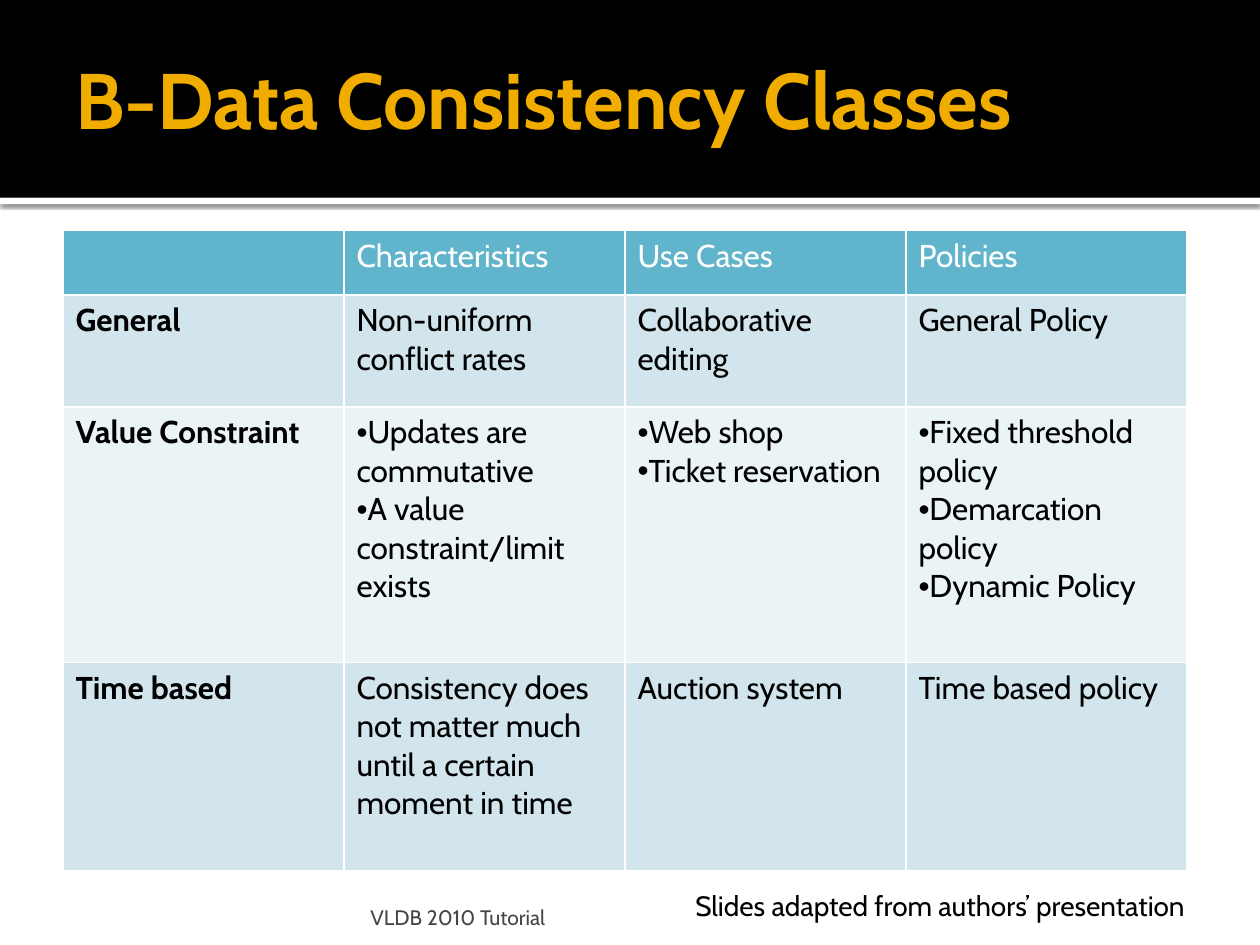
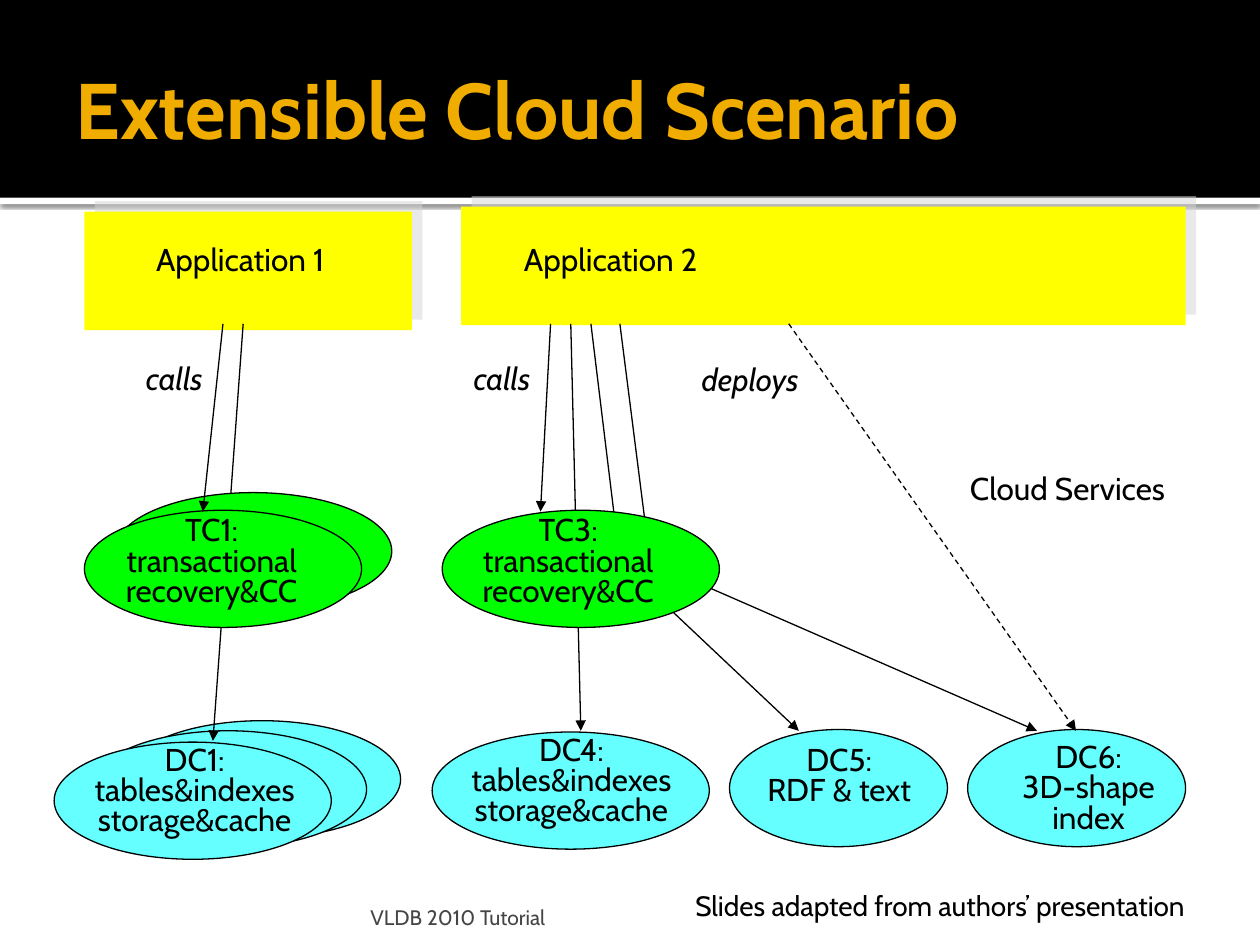
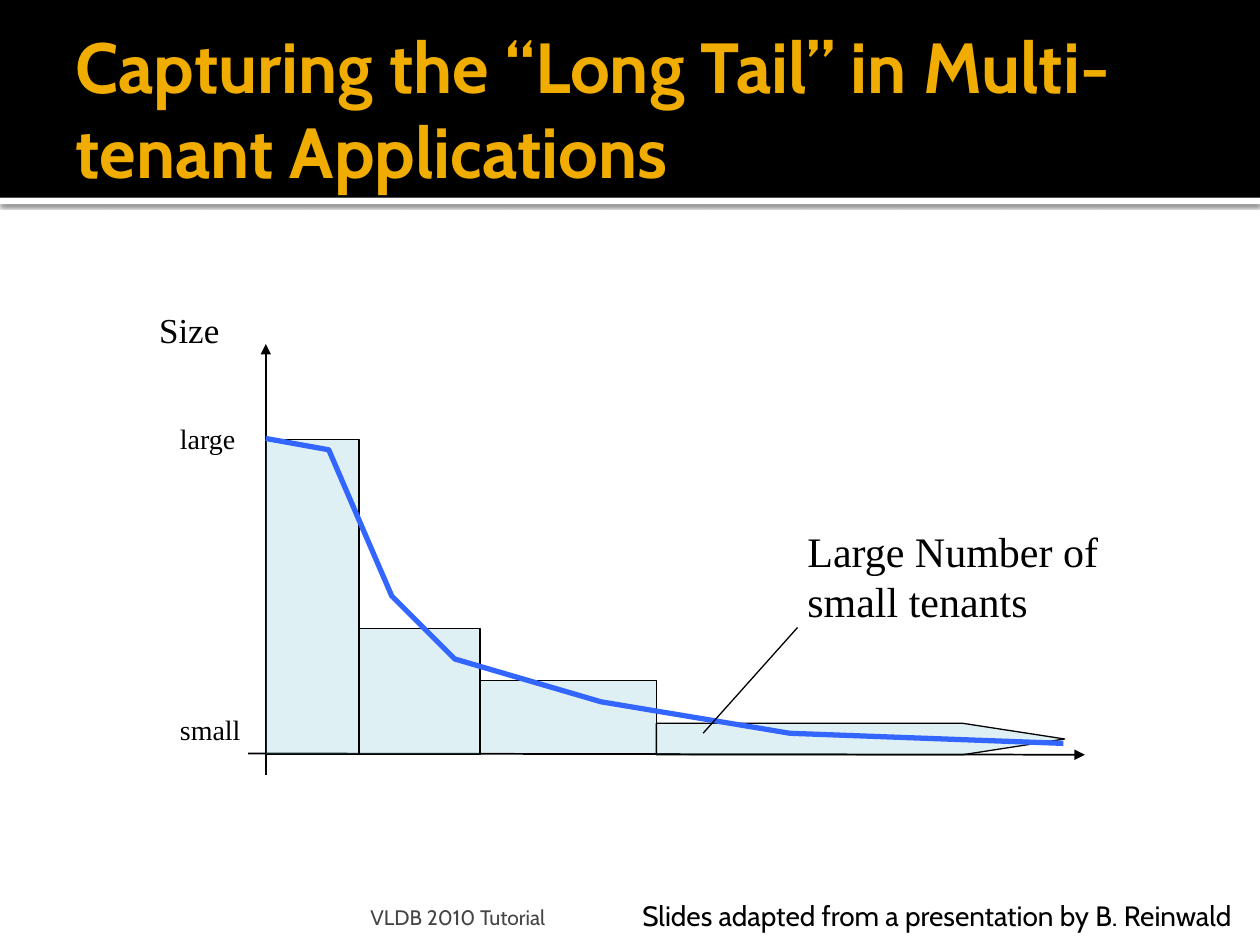
from dataclasses import dataclass

from lxml import etree
from pptx import Presentation
from pptx.dml.color import RGBColor
from pptx.enum.dml import MSO_LINE
from pptx.enum.shapes import MSO_CONNECTOR, MSO_SHAPE
from pptx.enum.text import MSO_ANCHOR, MSO_AUTO_SIZE, PP_ALIGN
from pptx.oxml.ns import qn
from pptx.util import Inches, Pt

BLACK = RGBColor(0x00, 0x00, 0x00)
WHITE = RGBColor(0xFF, 0xFF, 0xFF)
GOLD = RGBColor(0xF0, 0xAD, 0x00)
GREY = RGBColor(0x45, 0x45, 0x45)
SILVER = RGBColor(0xD4, 0xD4, 0xD6)
TEAL = RGBColor(0x60, 0xB5, 0xCC)
TEAL_LIGHT = RGBColor(0xD2, 0xE5, 0xEC)
TEAL_PALE = RGBColor(0xEA, 0xF3, 0xF6)
CYAN = RGBColor(0x66, 0xFF, 0xFF)
GREEN = RGBColor(0x00, 0xFF, 0x00)
YELLOW = RGBColor(0xFF, 0xFF, 0x00)
BLUE = RGBColor(0x33, 0x66, 0xFF)

SANS = "Cabin"
SERIF = "Times New Roman"
BULLET_FONT = "Arial"
RECTANGLE = MSO_SHAPE.RECTANGLE
OVAL = MSO_SHAPE.OVAL
PENTAGON = MSO_SHAPE.PENTAGON
STRAIGHT = MSO_CONNECTOR.STRAIGHT
DASH = MSO_LINE.DASH
LEFT, CENTER, RIGHT = PP_ALIGN.LEFT, PP_ALIGN.CENTER, PP_ALIGN.RIGHT
TOP, MIDDLE, BOTTOM = MSO_ANCHOR.TOP, MSO_ANCHOR.MIDDLE, MSO_ANCHOR.BOTTOM
FIT_SHAPE = MSO_AUTO_SIZE.SHAPE_TO_FIT_TEXT

Area = tuple[float, float, float, float]
Point = tuple[float, float]
TITLE_AREA = (0.5, 0.17, 9, 1.37)
AUTHORS_CREDIT = "Slides adapted from authors’ presentation"
AUTHORS_AREA = (5.42, 7, 4.17, 0.37)


@dataclass(frozen=True)
class Style:
    size: float = 18
    color: RGBColor = BLACK
    font: str = SANS
    bold: bool = False
    italic: bool = False


@dataclass(frozen=True)
class Label:
    area: Area
    lines: tuple[str, ...]
    style: Style = Style()
    align: PP_ALIGN = LEFT
    spacing: float | None = None
    anchor: MSO_ANCHOR = TOP
    insets: Area | None = None
    wrap: bool = False


@dataclass(frozen=True)
class Shadow:
    color: RGBColor
    opacity: int
    blur: float
    distance: float
    angle: int


@dataclass(frozen=True)
class Block:
    area: Area
    fill: RGBColor
    kind: MSO_SHAPE = RECTANGLE
    outlined: bool = False
    opacity: int = 100
    shadow: Shadow | None = None


@dataclass(frozen=True)
class Link:
    start: Point
    end: Point
    arrow: bool = True
    dashed: bool = False
    width: float = 0.75


@dataclass(frozen=True)
class Component:
    area: Area
    fill: RGBColor
    text_area: Area
    lines: tuple[str, ...]


BAND_SHADOW = Shadow(BLACK, 60, 2.5, 0.8, 90)
APPLICATION_SHADOW = Shadow(SILVER, 50, 0, 8.5, 315)
ITALIC = Style(italic=True)


def lengths(area: Area) -> list[Inches]:
    return [Inches(value) for value in area]


def add_span(para, text: str, style: Style) -> None:
    span = para.add_run()
    span.text = text
    span.font.name = style.font
    span.font.size = Pt(style.size)
    span.font.bold = style.bold
    span.font.italic = style.italic
    span.font.color.rgb = style.color


def fill_lines(frame, lines: tuple[str, ...], style: Style) -> list:
    for index, line in enumerate(lines):
        para = frame.paragraphs[0] if index == 0 else frame.add_paragraph()
        add_span(para, line, style)
    return list(frame.paragraphs)


def add_bullet(para) -> None:
    properties = para._p.get_or_add_pPr()
    etree.SubElement(properties, qn("a:buFont"), typeface=BULLET_FONT)
    etree.SubElement(properties, qn("a:buChar"), char="•")


def add_label(page, label: Label) -> None:
    frame = page.shapes.add_textbox(*lengths(label.area)).text_frame
    frame.word_wrap = label.wrap
    frame.vertical_anchor = label.anchor
    if label.insets:
        (frame.margin_left, frame.margin_top,
         frame.margin_right, frame.margin_bottom) = lengths(label.insets)
    else:
        frame.auto_size = FIT_SHAPE
    for para in fill_lines(frame, label.lines, label.style):
        para.alignment = label.align
        if label.spacing:
            para.line_spacing = label.spacing


def add_color(parent, color: RGBColor, opacity: int) -> None:
    node = etree.SubElement(parent, qn("a:srgbClr"), val=str(color))
    etree.SubElement(node, qn("a:alpha"), val=str(opacity * 1000))


def add_block(page, block: Block):
    shape = page.shapes.add_shape(block.kind, *lengths(block.area))
    shape.shadow.inherit = False
    shape.fill.solid()
    shape.fill.fore_color.rgb = block.fill
    properties = shape._element.spPr
    if block.opacity < 100:
        solid = properties.find(qn("a:solidFill"))
        solid.clear()
        add_color(solid, block.fill, block.opacity)
    if block.outlined:
        shape.line.color.rgb = BLACK
        shape.line.width = Pt(0.75)
    else:
        shape.line.fill.background()
    if block.shadow:
        cast = block.shadow
        outer = etree.SubElement(
            properties.find(qn("a:effectLst")), qn("a:outerShdw"),
            blurRad=str(Pt(cast.blur)), dist=str(Pt(cast.distance)),
            dir=str(cast.angle * 60000), algn="ctr", rotWithShape="0")
        add_color(outer, cast.color, cast.opacity)
    return shape


def add_link(page, link: Link) -> None:
    connector = page.shapes.add_connector(
        STRAIGHT, *lengths(link.start + link.end))
    connector.line.color.rgb = BLACK
    connector.line.width = Pt(link.width)
    if link.dashed:
        connector.line.dash_style = DASH
    properties = connector._element.spPr
    if link.arrow:
        etree.SubElement(properties.find(qn("a:ln")), qn("a:tailEnd"), type="triangle")
    etree.SubElement(properties, qn("a:effectLst"))


def add_component(page, component: Component) -> None:
    add_block(page, Block(component.area, component.fill, OVAL, outlined=True))
    add_label(page, Label(component.text_area, component.lines, align=CENTER, spacing=0.8))


def start_page(deck, title: str, credit: str, credit_area: Area,
               title_area: Area = TITLE_AREA, title_size: float = 45):
    page = deck.slides.add_slide(deck.slide_layouts[6])
    add_block(page, Block((0, 1.57, 10, 0.05), WHITE, shadow=BAND_SHADOW))
    add_block(page, Block((0, 0, 10, 1.57), BLACK))
    add_label(page, Label(title_area, (title,), Style(title_size, GOLD, bold=True),
                          anchor=MIDDLE, insets=(0.1, 0.05, 0.05, 0.05), wrap=True))
    add_label(page, Label((2.89, 7.08, 6.02, 0.3), ("VLDB 2010 Tutorial",),
                          Style(12, GREY), anchor=BOTTOM,
                          insets=(0.05, 0.05, 0.05, 0), wrap=True))
    add_label(page, Label(credit_area, (credit,), Style(16), wrap=True))
    return page


def style_cell(cell, fill: RGBColor) -> None:
    cell.fill.solid()
    cell.fill.fore_color.rgb = fill
    properties = cell._tc.get_or_add_tcPr()
    for index, side in enumerate(("lnL", "lnR", "lnT", "lnB")):
        border = etree.Element(qn(f"a:{side}"), w=str(Pt(1)))
        add_color(etree.SubElement(border, qn("a:solidFill")), WHITE, 100)
        properties.insert(index, border)


def build_consistency_page(deck) -> None:
    page = start_page(deck, "B-Data Consistency Classes", AUTHORS_CREDIT, AUTHORS_AREA,
                      title_area=(0.5, 0.3, 8.92, 0.95))
    rows = (
        (0.51, TEAL, ((), ("Characteristics",), ("Use Cases",), ("Policies",))),
        (0.89, TEAL_LIGHT, (("General",), ("Non-uniform conflict rates",),
                            ("Collaborative editing",), ("General Policy",))),
        (2.03, TEAL_PALE, (
            ("Value Constraint",),
            ("Updates are commutative", "A value constraint/limit exists"),
            ("Web shop", "Ticket reservation"),
            ("Fixed threshold policy", "Demarcation policy", "Dynamic Policy"))),
        (1.65, TEAL_LIGHT, (
            ("Time based",),
            ("Consistency does not matter much until a certain moment in time",),
            ("Auction system",), ("Time based policy",))),
    )
    table = page.shapes.add_table(
        len(rows), 4, *lengths((0.5, 1.83, 8.92, 5.08))).table
    for column in table.columns:
        column.width = Inches(2.23)
    for row_index, (height, fill, entries) in enumerate(rows):
        table.rows[row_index].height = Inches(height)
        for column_index, lines in enumerate(entries):
            cell = table.cell(row_index, column_index)
            style_cell(cell, fill)
            style = Style(color=BLACK if row_index else WHITE,
                          bold=row_index > 0 and column_index == 0)
            for para in fill_lines(cell.text_frame, lines, style):
                if len(lines) > 1:
                    add_bullet(para)


def build_cloud_page(deck) -> None:
    page = start_page(deck, "Extensible Cloud Scenario", AUTHORS_CREDIT, AUTHORS_AREA)
    storage = ("tables&indexes", "storage&cache")
    transactions = ("transactional", "recovery&CC")
    data_components = (
        Component((0.43, 5.89, 2.2, 0.93), CYAN, (0.59, 5.88, 1.91, 0.83),
                  ("DC1:", *storage)),
        Component((3.43, 5.81, 2.2, 0.93), CYAN, (3.58, 5.8, 1.91, 0.83),
                  ("DC4:", *storage)),
        Component((5.79, 5.79, 1.73, 0.93), CYAN, (5.94, 5.88, 1.44, 0.59),
                  ("DC5:", "RDF & text")),
        Component((7.68, 5.79, 1.73, 0.93), CYAN, (7.99, 5.86, 1.3, 0.83),
                  ("DC6:", "3D-shape", "index")),
    )
    transaction_components = (
        Component((0.67, 4.05, 2.2, 0.93), GREEN, (0.83, 4.06, 1.7, 0.83),
                  ("TC1:", *transactions)),
        Component((3.51, 4.05, 2.2, 0.93), GREEN, (3.66, 4.06, 1.7, 0.83),
                  ("TC3:", *transactions)),
    )
    links_behind = (
        Link((1.93, 2.57), (1.69, 5.88)),
        Link((4.53, 2.57), (4.61, 5.8)),
        Link((4.69, 2.57), (4.92, 4.46), arrow=False),
        Link((4.92, 2.57), (5.16, 4.46), arrow=False),
        Link((4.92, 4.46), (6.34, 5.8)),
        Link((5.16, 4.46), (8.23, 5.8)),
    )
    links_in_front = (
        Link((1.77, 2.57), (1.61, 4.06)),
        Link((4.37, 2.57), (4.29, 4.06)),
        Link((6.26, 2.57), (8.54, 5.8), dashed=True),
    )
    labels = (
        Label((1.14, 1.86, 1.65, 0.4), ("Application 1",)),
        Label((4.06, 1.86, 1.65, 0.4), ("Application 2",)),
        Label((7.6, 3.67, 1.9, 0.4), ("Cloud Services",)),
        Label((1.06, 2.8, 0.71, 0.4), ("calls",), ITALIC),
        Label((3.66, 2.8, 0.71, 0.4), ("calls",), ITALIC),
        Label((5.47, 2.81, 1.07, 0.4), ("deploys",), ITALIC),
    )
    for left, top in ((0.98, 5.72), (0.71, 5.8)):
        add_block(page, Block((left, top, 2.2, 0.93), CYAN, OVAL, outlined=True))
    for component in data_components:
        add_component(page, component)
    for area in ((0.67, 1.68, 2.6, 0.94), (3.66, 1.64, 5.75, 0.94)):
        add_block(page, Block(area, YELLOW, shadow=APPLICATION_SHADOW))
    for link in links_behind:
        add_link(page, link)
    add_block(page, Block((0.91, 3.91, 2.2, 0.93), GREEN, OVAL, outlined=True))
    for component in transaction_components:
        add_component(page, component)
    for link in links_in_front:
        add_link(page, link)
    for label in labels:
        add_label(page, label)


def build_tail_page(deck) -> None:
    page = start_page(deck, "Capturing the “Long Tail” in Multi-tenant Applications",
                      "Slides adapted from a presentation by B. Reinwald",
                      (5, 7.08, 4.94, 0.37), title_size=40.5)
    tick = Style(16, font=SERIF)
    labels = (
        Label((1.16, 2.4, 0.68, 0.43), ("Size",), Style(20, font=SERIF), RIGHT),
        Label((1.33, 3.3, 0.78, 0.37), ("large",), tick, wrap=True),
        Label((1.33, 5.61, 0.69, 0.37), ("small",), tick),
        Label((6.31, 4.12, 2.6, 0.9), ("Large Number of", "small tenants"),
              Style(24, font=SERIF)),
    )
    add_link(page, Link((1.97, 5.98), (8.61, 5.99), width=1))
    add_link(page, Link((2.11, 6.15), (2.11, 2.73), width=1))
    for area in ((2.11, 3.49, 0.74, 2.5), (2.85, 4.99, 0.96, 1), (3.81, 5.4, 1.4, 0.58)):
        add_block(page, Block(area, TEAL, outlined=True, opacity=20))
    tail = add_block(page, Block((5.21, 5.74, 3.24, 0.25), TEAL, PENTAGON,
                                 outlined=True, opacity=20))
    tail.adjustments[0] = 3.24

    curve_points = ((2.11, 3.48), (2.61, 3.57), (3.11, 4.73), (3.61, 5.23),
                    (4.77, 5.57), (6.27, 5.82), (8.44, 5.9))
    start, *others = [tuple(lengths(point)) for point in curve_points]
    builder = page.shapes.build_freeform(*start)
    builder.add_line_segments(others, close=False)
    curve = builder.convert_to_shape()
    curve.shadow.inherit = False
    curve.fill.background()
    curve.line.color.rgb = BLUE
    curve.line.width = Pt(3)

    add_link(page, Link((5.58, 5.82), (6.33, 4.98), arrow=False))
    for label in labels:
        add_label(page, label)


def main() -> None:
    deck = Presentation()
    deck.slide_width = Inches(10)
    deck.slide_height = Inches(7.5)
    build_consistency_page(deck)
    build_cloud_page(deck)
    build_tail_page(deck)
    deck.save("out.pptx")


if __name__ == "__main__":
    main()
